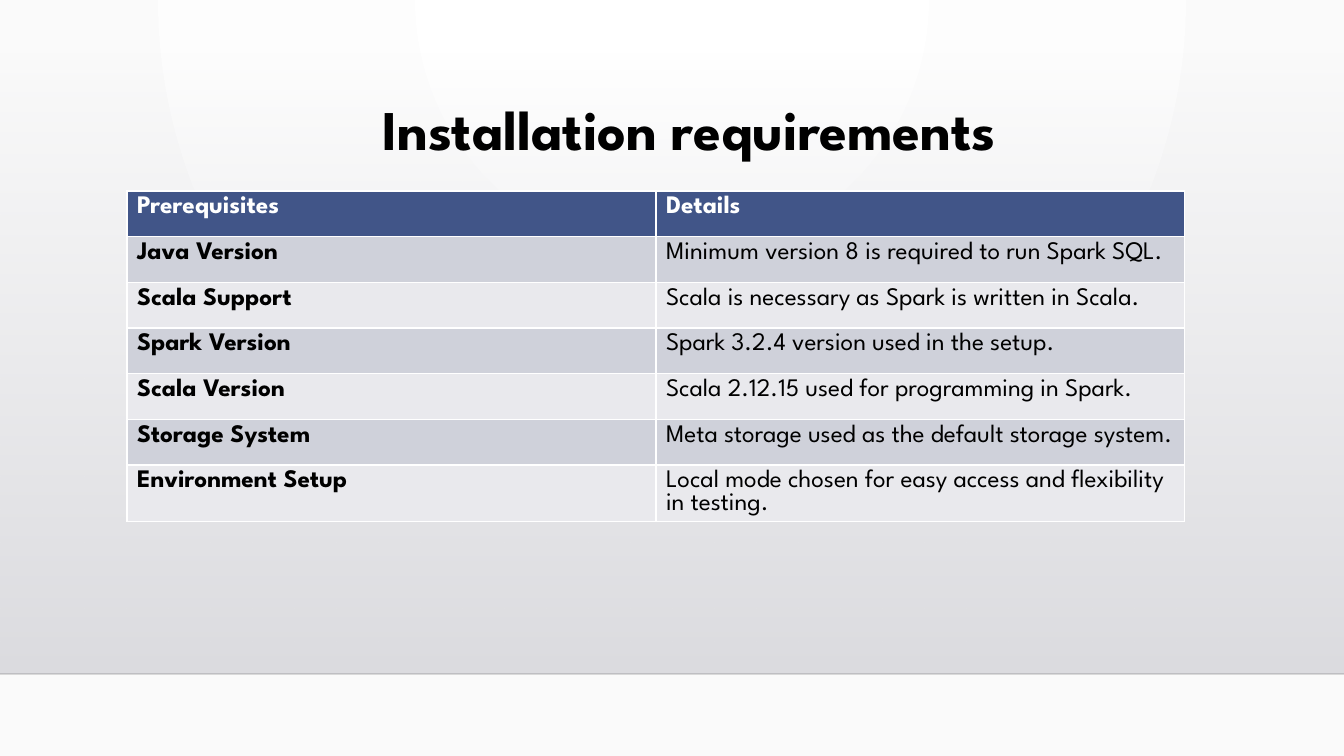
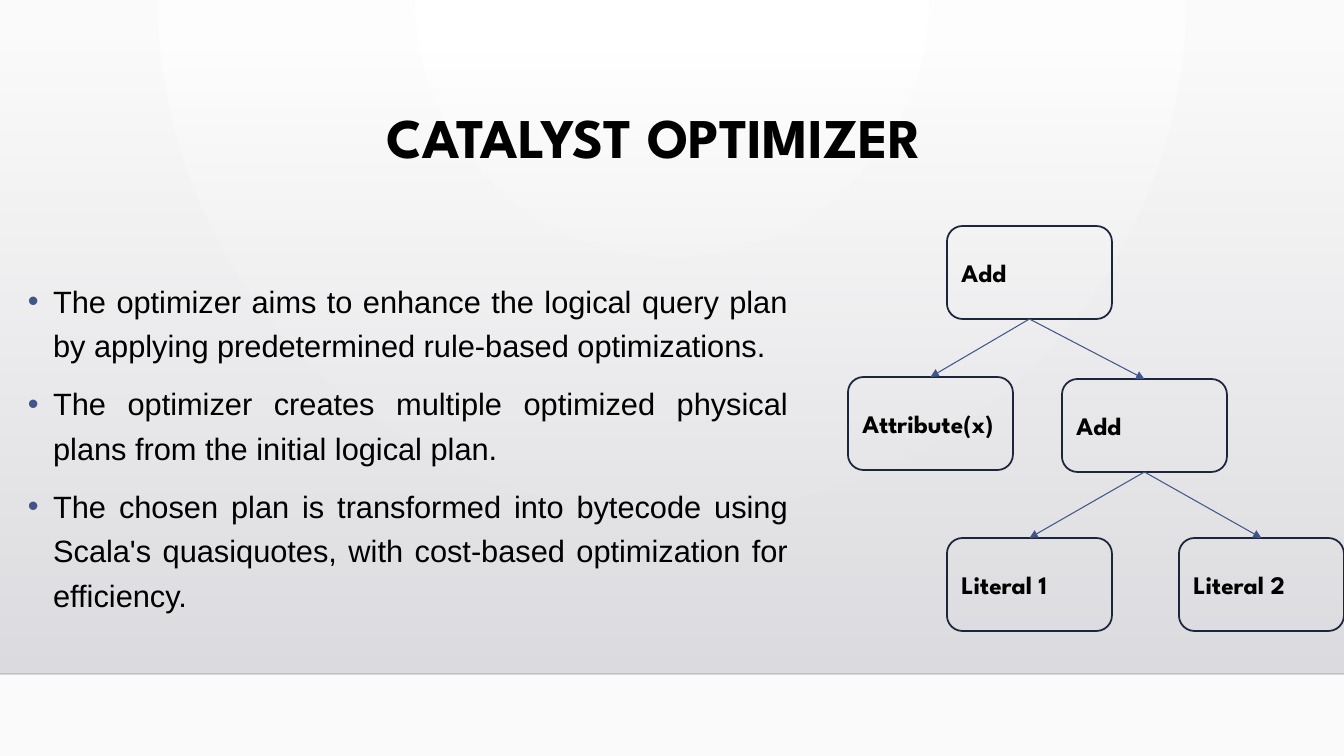
"""Build two slides on Spark SQL: installation requirements and the Catalyst optimizer."""
from dataclasses import dataclass

from lxml import etree
from pptx import Presentation
from pptx import util as u
from pptx.dml.color import RGBColor
from pptx.enum import shapes, text
from pptx.oxml.ns import qn


@dataclass(frozen=True)
class Theme:
    black: RGBColor = RGBColor(0, 0, 0)
    white: RGBColor = RGBColor(255, 255, 255)
    paper: RGBColor = RGBColor(0xFA, 0xFA, 0xFA)
    band: RGBColor = RGBColor(0xDC, 0xDC, 0xE0)
    accent: RGBColor = RGBColor(0x41, 0x55, 0x88)
    outline: RGBColor = RGBColor(0x1C, 0x25, 0x3C)
    stripes: tuple = (RGBColor(0xE9, 0xE9, 0xED), RGBColor(0xCF, 0xD1, 0xDA))
    display: str = "League Spartan"
    body: str = "Arial"
    title_size: int = 40
    body_size: int = 22
    label_size: int = 18


theme = Theme()
WIDTH, HEIGHT = 1344, 756
BAND_TOP, BAND_BOTTOM = 51, 674


def px(*lengths):
    """Turn pixel lengths into EMU."""
    return [u.Emu(round(length * 12192000 / WIDTH)) for length in lengths]


def style(para, name, size, color, bold=False):
    """Set the font of a whole paragraph."""
    para.font.name = name
    para.font.size = u.Pt(size)
    para.font.color.rgb = color
    para.font.bold = bold


deck = Presentation()
deck.slide_width, deck.slide_height = px(WIDTH, HEIGHT)
master = deck.slide_master
title_only = deck.slide_layouts[5]

backdrop = master.background.fill
backdrop.gradient()
for stop, color in zip(backdrop.gradient_stops, (theme.white, theme.paper)):
    stop.color.rgb = color
gradient = master.element.find(".//" + qn("a:gradFill"))
gradient.remove(gradient.find(qn("a:lin")))
circle = etree.SubElement(gradient, qn("a:path"), path="circle")
etree.SubElement(circle, qn("a:fillToRect"), l="43000", t="0", r="43000", b="100000")

titles = (
    ("Installation requirements", (160, 97, 1058, 85)),
    ("CATALYST OPTIMIZER", (125, 105, 1058, 116)),
)
for words, place in titles:
    page = deck.slides.add_slide(title_only)
    title = page.shapes.title
    title.left, title.top, title.width, title.height = px(*place)
    title.text_frame.text = words
    title.text_frame.vertical_anchor = text.MSO_ANCHOR.TOP
    para = title.text_frame.paragraphs[0]
    para.alignment = text.PP_ALIGN.CENTER
    para.line_spacing = 0.9
    style(para, theme.display, theme.title_size, theme.black, True)
requirements, optimizer = deck.slides

band = requirements.shapes.add_shape(
    shapes.MSO_SHAPE.RECTANGLE, *px(0, BAND_TOP, WIDTH, BAND_BOTTOM - BAND_TOP))
band.shadow.inherit = False
band.line.fill.background()
band.fill.gradient()
band.fill.gradient_angle = 270
for stop in band.fill.gradient_stops:
    stop.color.rgb = theme.band
clear_stop = band.element.find(".//" + qn("a:srgbClr"))
etree.SubElement(clear_stop, qn("a:alpha"), val="0")

edge = requirements.shapes.add_connector(
    shapes.MSO_CONNECTOR.STRAIGHT, *px(0, BAND_BOTTOM, WIDTH, BAND_BOTTOM))
edge.line.color.rgb = theme.black
edge.line.width = u.Pt(1)
etree.SubElement(edge.element.find(".//" + qn("a:srgbClr")), qn("a:alpha"), val="20000")
etree.SubElement(edge.element.spPr, qn("a:effectLst"))

for index, item in enumerate((band, edge)):
    item.element.find(".//" + qn("p:cNvPr")).set("id", str(100 + index))
    master.element.cSld.spTree.insert(2 + index, item.element)

rows = (
    ("Prerequisites", "Details"),
    ("Java Version", "Minimum version 8 is required to run Spark SQL."),
    ("Scala Support", "Scala is necessary as Spark is written in Scala."),
    ("Spark Version", "Spark 3.2.4 version used in the setup."),
    ("Scala Version", "Scala 2.12.15 used for programming in Spark."),
    ("Storage System", "Meta storage used as the default storage system."),
    ("Environment Setup", "Local mode chosen for easy access and flexibility in testing."),
)
table = requirements.shapes.add_table(len(rows), 2, *px(127, 191, 1058, 320)).table
for r, row in enumerate(rows):
    for c, words in enumerate(row):
        cell = table.cell(r, c)
        cell.text = words
        cell.fill.solid()
        cell.fill.fore_color.rgb = theme.stripes[r % 2] if r else theme.accent
        style(cell.text_frame.paragraphs[0], theme.display, theme.label_size,
              theme.black if r else theme.white, r == 0 or c == 0)

points = (
    "The optimizer aims to enhance the logical query plan by applying predetermined "
    "rule-based optimizations.",
    "The optimizer creates multiple optimized physical plans from the initial logical plan.",
    "The chosen plan is transformed into bytecode using Scala's quasiquotes, with "
    "cost-based optimization for efficiency.",
)
frame = optimizer.shapes.add_textbox(*px(18, 270, 780, 447)).text_frame
frame.word_wrap = True
for index, words in enumerate(points):
    para = frame.add_paragraph() if index else frame.paragraphs[0]
    para.text = words
    para.alignment = text.PP_ALIGN.JUSTIFY
    para.line_spacing = 1.2
    para.space_before = u.Pt(10)
    props = para._p.get_or_add_pPr()
    props.set("marL", str(u.Inches(0.25)))
    props.set("indent", str(-u.Inches(0.25)))
    bullet_color = etree.SubElement(props, qn("a:buClr"))
    etree.SubElement(bullet_color, qn("a:srgbClr"), val=str(theme.accent))
    etree.SubElement(props, qn("a:buFont"), typeface=theme.body)
    etree.SubElement(props, qn("a:buChar"), char="•")
    style(para, theme.body, theme.body_size, theme.black)

nodes = (
    ("Add", 947, 226),
    ("Attribute(x)", 848, 377),
    ("Add", 1062, 379),
    ("Literal 1", 947, 538),
    ("Literal 2", 1179, 538),
)
boxes = []
for words, left, top in nodes:
    box = optimizer.shapes.add_shape(
        shapes.MSO_SHAPE.ROUNDED_RECTANGLE, *px(left, top, 165, 93))
    box.shadow.inherit = False
    box.fill.background()
    box.line.color.rgb = theme.outline
    box.line.width = u.Pt(1.25)
    box.text_frame.text = words
    box.text_frame.word_wrap = False
    style(box.text_frame.paragraphs[0], theme.display, theme.label_size, theme.black, True)
    boxes.append(box)

for parent, child in ((0, 1), (0, 2), (2, 3), (2, 4)):
    arrow = optimizer.shapes.add_connector(shapes.MSO_CONNECTOR.STRAIGHT, 0, 0, 0, 0)
    arrow.begin_connect(boxes[parent], 2)
    arrow.end_connect(boxes[child], 0)
    arrow.line.color.rgb = theme.accent
    arrow.line.width = u.Pt(0.75)
    etree.SubElement(arrow.line._get_or_add_ln(), qn("a:tailEnd"), type="triangle")
    etree.SubElement(arrow.element.spPr, qn("a:effectLst"))

deck.save("out.pptx")
